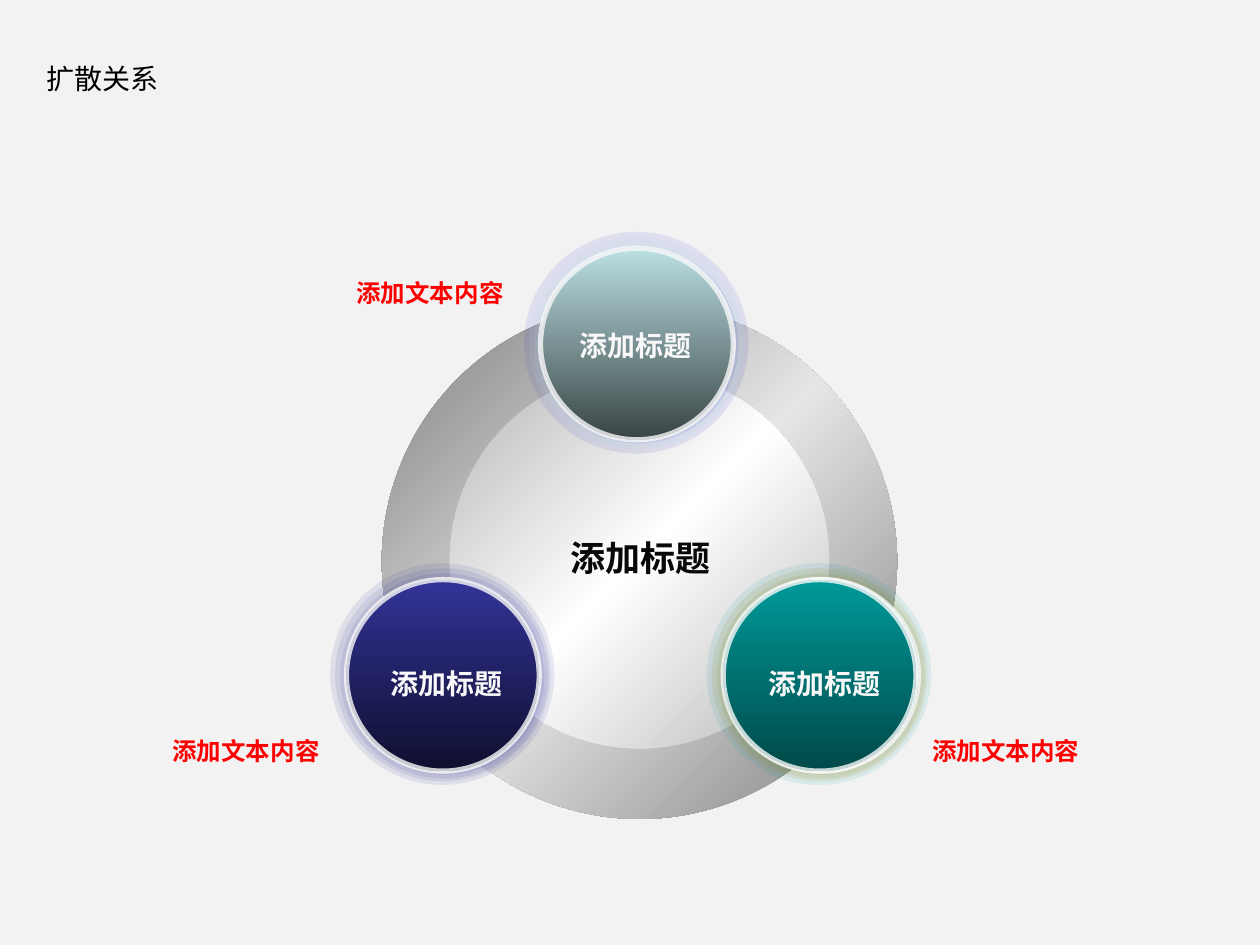
"""Build a slide with a central disc and three linked balls."""
from copy import deepcopy

from lxml.etree import SubElement
from pptx import Presentation
from pptx.dml.color import RGBColor as Rgb
from pptx.enum.shapes import MSO_SHAPE as Shape
from pptx.enum.text import MSO_AUTO_SIZE as Fit, PP_ALIGN as Align
from pptx.oxml.ns import qn
from pptx.util import Inches, Pt

HEX = {
    "back": "F2F2F2", "black": "000000", "ink": "080808", "red": "FF0000",
    "white": "F8F8F8", "edge": "808080", "shine": "E5E5E5",
    "rim": "B6B6B6", "glow": "FFFFFF",
    "ice": "BBE0E3", "slate": "384344", "blue": "3333CC",
    "navy": "333399", "night": "0F0F2E", "teal": "009999", "pine": "004949",
    "sky": "0099CC", "deep": "003141", "olive": "817E00",
}
CJK = "Noto Sans CJK SC"
HEAD = "添加标题"
NOTE = "添加文本内容"
DISCS = [
    ((3.03, 2.41, 4.09, 4.09), ("edge", "shine", "edge")),
    ((3.57, 2.94, 3.01, 3), ("rim", "glow", "rim")),
]
NODES = [
    {"at": (4.16, 1.84), "halo": ("blue", "ice", "ice", "blue"),
     "ball": ("ice", "slate"), "head": (4.25, 2.56), "note": (2.73, 2.16)},
    {"at": (2.62, 4.47), "halo": ("navy",) * 4,
     "ball": ("navy", "night"), "head": (2.75, 5.24), "note": (1.27, 5.79)},
    {"at": (5.61, 4.47), "halo": ("teal", "olive", "olive", "olive"),
     "ball": ("teal", "pine"), "under": ("sky", "deep"),
     "head": (5.75, 5.24), "note": (7.3, 5.79)},
]
RINGS = [(0, 1.78, 1.76), (0.04, 1.71, 1.69), (0.08, 1.65, 1.63), (0.12, 1.58, 1.56)]
BALL = (1.53, 1.52)
GAP = 0.13


def tint(name):
    return Rgb.from_string(HEX[name])


def fade(color, pct):
    node = color._xFill.find(qn("a:srgbClr"))
    SubElement(node, qn("a:alpha"), val=str(pct * 1000))


def disc(page, box):
    item = page.shapes.add_shape(Shape.OVAL, *map(Inches, box))
    item.shadow.inherit = False
    item.line.fill.background()
    return item


def blend(item, names, angle):
    fill = item.fill
    fill.gradient()
    fill.gradient_angle = 360 - angle
    stops = fill.gradient_stops
    if len(names) == 3:
        first = stops[0]._gs
        first.addnext(deepcopy(first))
    for i, (stop, name) in enumerate(zip(fill.gradient_stops, names)):
        stop.color.rgb = tint(name)
        stop.position = i / (len(names) - 1)


def ball(page, box, names):
    item = disc(page, box)
    blend(item, names, 90)
    item.line.fill.solid()
    item.line.color.rgb = tint("white")
    item.line.width = Pt(3)
    fade(item.line.fill._fill, 80) if hasattr(item.line.fill._fill, "_xFill") else SubElement(
        item.line._ln.find(".//" + qn("a:srgbClr")), qn("a:alpha"), val="80000")


def write(page, text, box, size=14, color="red", font="Arial", bold=True, align=Align.LEFT):
    frame = page.shapes.add_textbox(*map(Inches, box)).text_frame
    frame.word_wrap = True
    frame.auto_size = Fit.SHAPE_TO_FIT_TEXT
    para = frame.paragraphs[0]
    para.alignment = align
    run = para.add_run()
    run.text = text
    run.font.size = Pt(size)
    run.font.bold = bold
    run.font.name = font
    run.font.color.rgb = tint(color)
    SubElement(run.font._element, qn("a:ea"), typeface=CJK)


def main():
    deck = Presentation()
    deck.slide_width, deck.slide_height = Inches(10), Inches(7.5)
    page = deck.slides.add_slide(deck.slide_layouts[6])
    page.background.fill.solid()
    page.background.fill.fore_color.rgb = tint("back")

    write(page, "扩散关系", (0.27, 0.44, 1.48, 0.37), size=16, color="black", font=CJK, bold=False)
    for box, names in DISCS:
        blend(disc(page, box), names, 45)
    write(page, HEAD, (4.07, 4.21, 2.03, 0.43), size=20, color="ink", align=Align.CENTER)

    for node in NODES:
        x, y = node["at"]
        for (off, wide, high), name in zip(RINGS, node["halo"]):
            ring = disc(page, (x + off, y + off, wide, high))
            ring.fill.solid()
            ring.fill.fore_color.rgb = tint(name)
            fade(ring.fill.fore_color, 10)

    for node in NODES:
        x, y = (side + GAP for side in node["at"])
        if "under" in node:
            ball(page, (x + 0.02, y, *BALL), node["under"])
        ball(page, (x, y, *BALL), node["ball"])
        write(page, HEAD, (*node["head"], 1.59, 0.37), size=16, color="white", font=CJK, align=Align.CENTER)
        write(page, NOTE, (*node["note"], 1.46, 0.33))

    deck.save("out.pptx")


if __name__ == "__main__":
    main()
